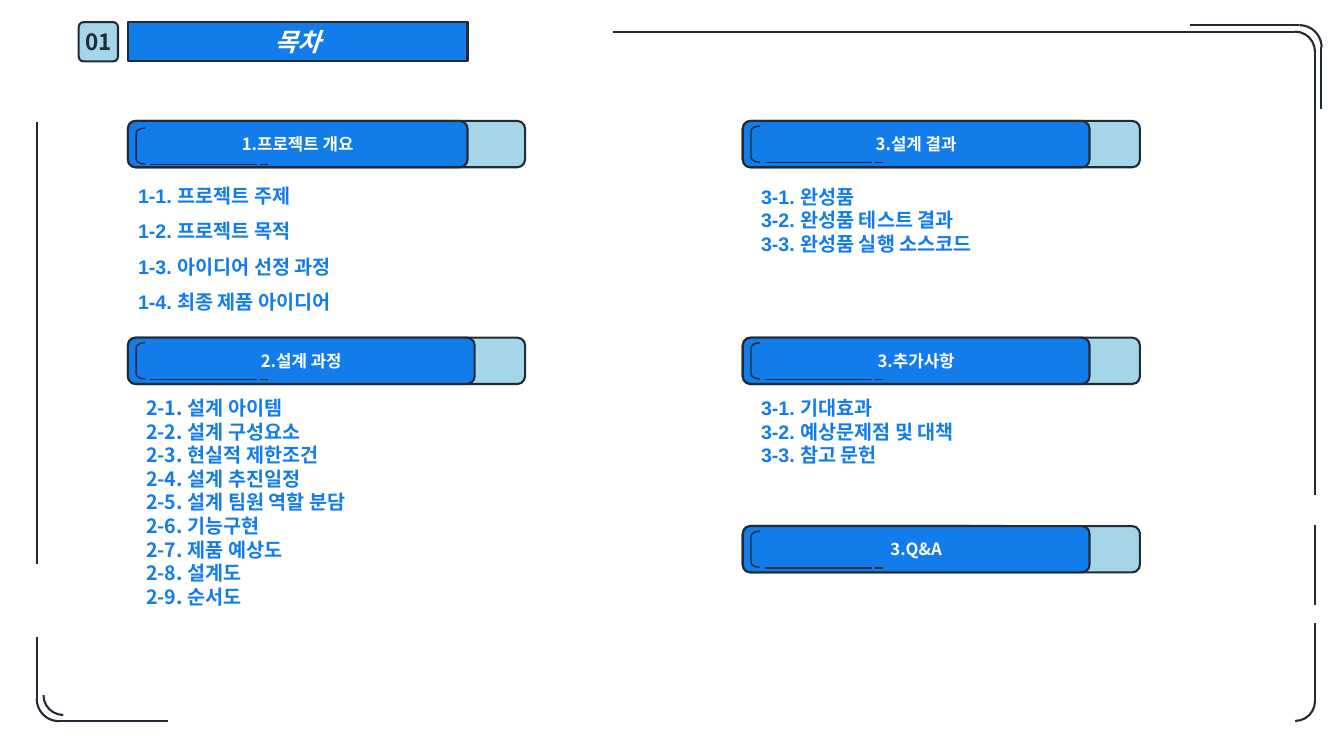
from dataclasses import dataclass

from lxml.etree import SubElement
from pptx import Presentation
from pptx.dml.color import RGBColor as Rgb
from pptx.enum.shapes import MSO_CONNECTOR as Conn, MSO_SHAPE as Kind
from pptx.enum.text import MSO_ANCHOR as Anchor, MSO_AUTO_SIZE as Auto, PP_ALIGN as Align
from pptx.oxml.ns import qn
from pptx.util import Pt

HUE = {"blue": "127CEA", "sky": "A5D5E9", "ink": "222A35", "white": "FFFFFF"}
NOTO = "Noto Sans CJK KR"


@dataclass
class Header:
    text: str
    x: float
    y: float
    wide: float = 247.7
    inset: float = 3.6


@dataclass
class Topic:
    slot: int
    box: tuple[float, float, float, float]
    items: list[str]
    font: str = "Arial"
    space: float = 1.0


@dataclass
class Rule:
    x1: float
    y1: float
    x2: float
    y2: float


@dataclass
class Corner:
    x: float
    y: float
    size: float
    turn: int


LEFT, RIGHT = 91.4, 530.6
TOP, MID, LOW = 86.4, 241.2, 375.8

HEADERS = [
    Header("1.프로젝트 개요", LEFT, TOP, 242.6, 5),
    Header("2.설계 과정", LEFT, MID),
    Header("3.설계 결과", RIGHT, TOP),
    Header("3.추가사항", RIGHT, MID),
    Header("3.Q&A", RIGHT, LOW),
]
TOPICS = [
    Topic(1, (91.4, 119.5, 183.6, 105.8),
          ["1-1. 프로젝트 주제", "1-2. 프로젝트 목적", "1-3. 아이디어 선정 과정",
           "1-4. 최종 제품 아이디어"], space=1.5),
    Topic(2, (97.2, 279.4, 308.2, 174.2),
          ["2-1. 설계 아이템", "2-2. 설계 구성요소", "2-3. 현실적 제한조건",
           "2-4. 설계 추진일정", "2-5. 설계 팀원 역할 분담", "2-6. 기능구현",
           "2-7. 제품 예상도", "2-8. 설계도", "2-9. 순서도"], NOTO),
    Topic(3, (536.4, 128.2, 272.2, 58.3),
          ["3-1. 완성품", "3-2. 완성품 테스트 결과", "3-3. 완성품 실행 소스코드"]),
    Topic(4, (536.4, 279.4, 308.2, 58.3),
          ["3-1. 기대효과", "3-2. 예상문제점 및 대책", "3-3. 참고 문헌"]),
]
RULES = [
    Rule(925.2, 22.6, 437.8, 22.6), Rule(939.4, 353.5, 939.4, 36.7),
    Rule(928.1, 18, 850.3, 18), Rule(943.9, 77.8, 943.9, 33.8),
    Rule(939.4, 432, 939.4, 375.1), Rule(939.4, 501.8, 939.4, 445),
    Rule(41.8, 514.8, 120.2, 514.8), Rule(26.2, 455, 26.2, 499.7),
    Rule(26.2, 403.2, 26.2, 87.1),
]
CORNERS = [
    Corner(911, 22.6, 28.3, 0), Corner(912.4, 18, 31.7, 0),
    Corner(911, 486.7, 28.3, 90), Corner(31, 482.4, 28.3, 180),
    Corner(26.2, 483.4, 31.7, 180),
]


def place(shape, box: tuple) -> None:
    shape.left, shape.top, shape.width, shape.height = map(Pt, box)


def paint(shape, fill: str | None, line: float = 1.5) -> None:
    if fill:
        shape.fill.solid()
        shape.fill.fore_color.rgb = Rgb.from_string(HUE[fill])
    else:
        shape.fill.background()
    shape.line.color.rgb = Rgb.from_string(HUE["ink"])
    shape.line.width = Pt(line)


def form(slide, kind: Kind, box: tuple, fill: str | None = None,
         line: float = 1.5, adj: float | None = None, turn: int = 0):
    shape = slide.shapes.add_shape(kind, *map(Pt, box))
    shape.shadow.inherit = False
    paint(shape, fill, line)
    if adj is not None:
        shape.adjustments[0] = adj
    shape.rotation = turn
    return shape


def stroke(slide, rule: Rule, line: float = 1.5) -> None:
    ends = map(Pt, (rule.x1, rule.y1, rule.x2, rule.y2))
    wire = slide.shapes.add_connector(Conn.STRAIGHT, *ends)
    wire.line.color.rgb = Rgb.from_string(HUE["ink"])
    wire.line.width = Pt(line)
    SubElement(wire._element.spPr, qn("a:effectLst"))


def add_run(para, text: str, size: float, hue: str, font: str = NOTO) -> None:
    run = para.add_run()
    run.text = text
    run.font.size, run.font.bold, run.font.name = Pt(size), True, font
    run.font.color.rgb = Rgb.from_string(HUE[hue])
    SubElement(run._r.get_or_add_rPr(), qn("a:ea"), typeface=NOTO)


def label(shape, text: str, size: float, hue: str = "white", wrap: bool = True) -> None:
    frame = shape.text_frame
    frame.auto_size, frame.word_wrap = Auto.NONE, wrap
    frame.vertical_anchor = Anchor.MIDDLE
    para = frame.paragraphs[0]
    para.alignment = Align.CENTER
    add_run(para, text, size, hue)


def draw_title(slide) -> None:
    title = slide.shapes.title
    place(title, (LEFT, 15.8, 242.6, 28.1))
    geom = SubElement(title._element.spPr, qn("a:prstGeom"), prst="roundRect")
    guide = SubElement(geom, qn("a:avLst"))
    SubElement(guide, qn("a:gd"), name="adj", fmla="val 11100")
    paint(title, "blue")
    label(title, "목차", 18)
    title.text_frame.paragraphs[0].runs[0].font.italic = True
    badge = form(slide, Kind.ROUNDED_RECTANGLE, (56.2, 15.8, 28.1, 28.1), "sky", adj=0.127)
    label(badge, "01", 16, "ink", False)


def draw_header(slide, head: Header) -> None:
    x, y = head.x, head.y
    form(slide, Kind.ROUNDED_RECTANGLE, (x, y, 283.7, 33.1), "sky")
    band = form(slide, Kind.ROUNDED_RECTANGLE, (x, y, head.wide, 33.1), "blue")
    label(band, head.text, 12)
    form(slide, Kind.RIGHT_BRACKET, (x + 5.8, y + head.inset, 6.5, 25.9),
         line=1, adj=0.557, turn=180)
    base = y + head.inset + 26.3
    for start, end in ((92.2, 15.5), (100.1, 94.3)):
        stroke(slide, Rule(x + start, base, x + end, base), 1)


def draw_topic(slide, topic: Topic) -> None:
    body = slide.placeholders[topic.slot]
    place(body, topic.box)
    frame = body.text_frame
    frame.auto_size, frame.word_wrap = Auto.NONE, True
    frame.vertical_anchor = Anchor.TOP
    for i, item in enumerate(topic.items):
        para = frame.add_paragraph() if i else frame.paragraphs[0]
        props = para._p.get_or_add_pPr()
        props.set("marL", "0")
        props.set("indent", "0")
        SubElement(props, qn("a:buNone"))
        para.space_before = Pt(0)
        para.line_spacing = topic.space
        add_run(para, item, 14, "blue", topic.font)


def main() -> None:
    deck = Presentation()
    deck.slide_width, deck.slide_height = Pt(960), Pt(540)
    slide = deck.slides.add_slide(deck.slide_layouts[4])
    draw_title(slide)
    for rule in RULES:
        stroke(slide, rule)
    for arc in CORNERS:
        form(slide, Kind.ARC, (arc.x, arc.y, arc.size, arc.size), turn=arc.turn)
    for head in HEADERS:
        draw_header(slide, head)
    for topic in TOPICS:
        draw_topic(slide, topic)
    deck.save("out.pptx")


if __name__ == "__main__":
    main()
